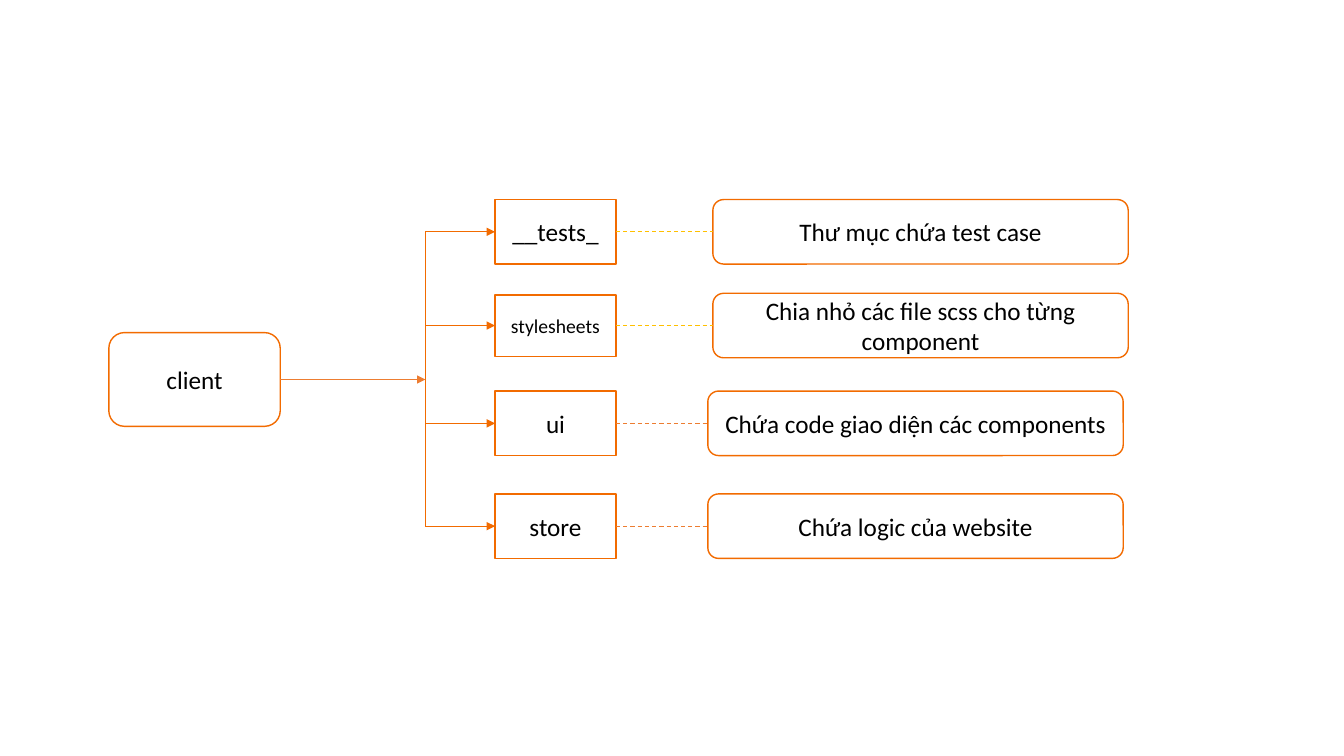
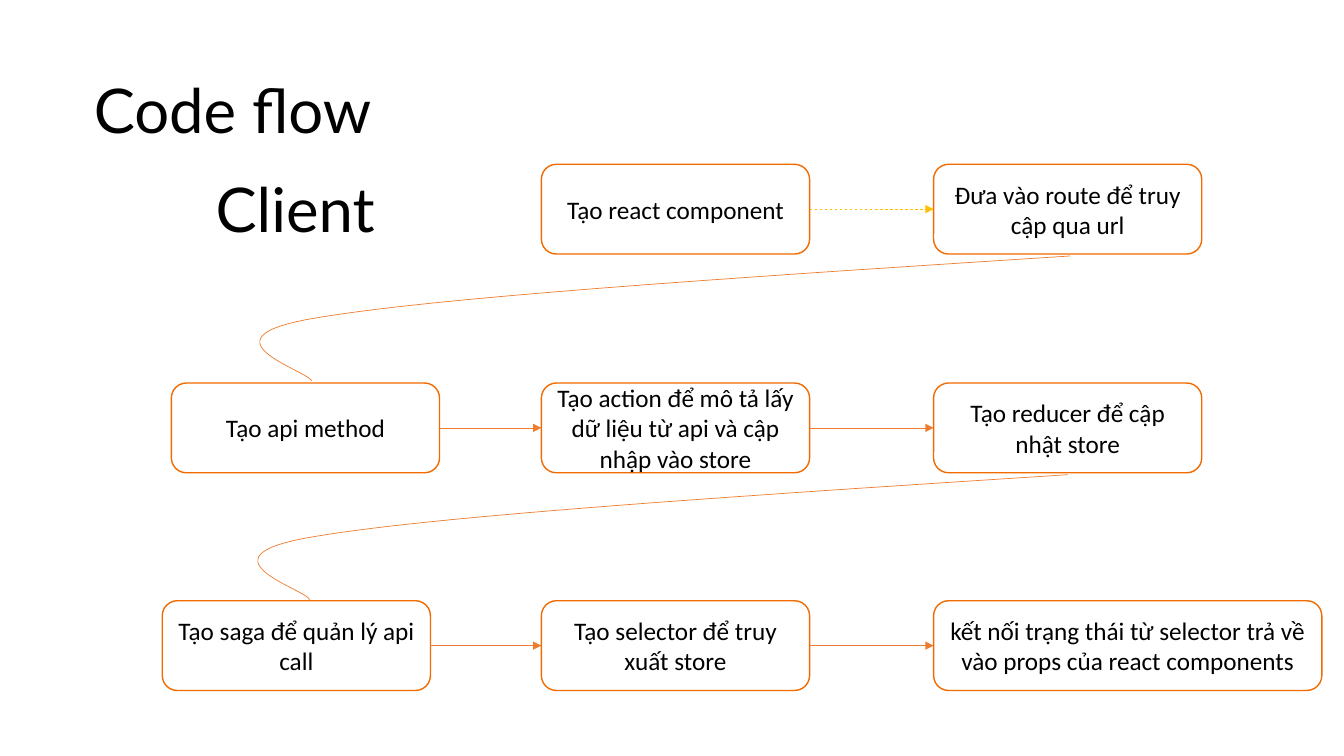
import pptx
import pptx.dml.color
import pptx.enum.dml
import pptx.enum.shapes
import pptx.enum.text
import pptx.oxml.ns
import pptx.util
from lxml import etree

Inches = pptx.util.Inches
Pt = pptx.util.Pt
SHAPE = pptx.enum.shapes.MSO_SHAPE
ALIGN = pptx.enum.text.PP_ALIGN
ANCHOR = pptx.enum.text.MSO_ANCHOR
qn = pptx.oxml.ns.qn

COLORS = {"outline": "F26B00", "arrow": "ED7D31", "accent": "FFC000", "text": "000000"}
LABEL = {"name": "Calibri", "size": Pt(18)}
SMALL_LABEL = {**LABEL, "size": Pt(14)}
HEADING = {"name": "Lato", "size": Pt(44)}

# Folder name, label format, box height, row centre, description, its left, dash colour
FOLDERS = [
    ("__tests_", LABEL, 0.64, 2.3, "Thư mục chứa test case", 7.07, "accent"),
    ("stylesheets", SMALL_LABEL, 0.61, 3.23, "Chia nhỏ các file scss cho từng component", 7.07, "accent"),
    ("ui", LABEL, 0.64, 4.2, "Chứa code giao diện các components", 7.02, "arrow"),
    ("store", LABEL, 0.64, 5.22, "Chứa logic của website", 7.02, "arrow"),
]
TRUNK_X = 4.22

# Top of each row, link colour, dashed or not, and its steps: text, left, width
STEP_ROWS = [
    (1.63, "accent", True, [
        ("Tạo react component", 5.37, 2.66),
        ("Đưa vào route để truy cập qua url", 9.26, 2.66),
    ]),
    (3.8, "arrow", False, [
        ("Tạo api method", 1.7, 2.66),
        ("Tạo action để mô tả lấy dữ liệu từ api và cập nhập vào store", 5.37, 2.66),
        ("Tạo reducer để cập nhật store", 9.26, 2.66),
    ]),
    (5.96, "arrow", False, [
        ("Tạo saga để quản lý api call", 1.61, 2.66),
        ("Tạo selector để truy xuất store", 5.37, 2.66),
        ("kết nối trạng thái từ selector trả về vào props của react components", 9.26, 3.85),
    ]),
]
RETURN_STARTS = [(10.61, 2.54), (10.59, 4.71)]
# Two cubic segments, measured from the start of the curve
RETURN_CURVE = [
    [(0, 0), (-3.1, 0.2), (-6.2, 0.4), (-7.45, 0.61)],
    [(-7.45, 0.61), (-8.71, 0.81), (-7.54, 1.14), (-7.52, 1.24)],
]
CURVE_STEPS = 30


def rgb(color):
    return pptx.dml.color.RGBColor.from_string(COLORS[color])


def write(tf, text, style, align):
    p = tf.paragraphs[0]
    p.alignment = align
    r = p.add_run()
    r.text = text
    for key, value in style.items():
        setattr(r.font, key, value)
    r.font.color.rgb = rgb("text")
    return p


def stroke(line, color, width):
    line.color.rgb = rgb(color)
    line.width = Pt(width)


def add_box(slide, kind, text, left, top, width, height, style=LABEL):
    sp = slide.shapes.add_shape(kind, *map(Inches, (left, top, width, height)))
    sp.shadow.inherit = False
    sp.fill.background()
    stroke(sp.line, "outline", 1)
    tf = sp.text_frame
    tf.word_wrap = True
    tf.vertical_anchor = ANCHOR.MIDDLE
    write(tf, text, style, ALIGN.CENTER)
    return sp


def add_line(slide, start, end, color, width=0.5, arrow=False, dashed=False):
    """Draw a straight line between two (x, y) points given as lengths."""
    line = slide.shapes.add_connector(
        pptx.enum.shapes.MSO_CONNECTOR.STRAIGHT, *start, *end)
    stroke(line.line, color, width)
    if dashed:
        line.line.dash_style = pptx.enum.dml.MSO_LINE.DASH
    if arrow:
        etree.SubElement(line.line._get_or_add_ln(), qn("a:tailEnd"), type="triangle")
    etree.SubElement(line._element.spPr, qn("a:effectLst"))
    return line


def left_middle(sp):
    return sp.left, sp.top + sp.height // 2


def right_middle(sp):
    return sp.left + sp.width, sp.top + sp.height // 2


def link_boxes(slide, source, target, color, **options):
    """Connect the right side of one box to the left side of the next."""
    line = add_line(slide, right_middle(source), left_middle(target), color, **options)
    line.begin_connect(source, 3)
    line.end_connect(target, 1)


def bezier(points, t):
    weights = ((1 - t) ** 3, 3 * t * (1 - t) ** 2, 3 * t ** 2 * (1 - t), t ** 3)
    return tuple(sum(w * p[axis] for w, p in zip(weights, points)) for axis in (0, 1))


def add_return_curve(slide, x, y):
    """Draw the curve that leads from the end of a row to the next row."""
    builder = slide.shapes.build_freeform(Inches(x), Inches(y))
    points = [bezier(segment, i / CURVE_STEPS)
              for segment in RETURN_CURVE for i in range(1, CURVE_STEPS + 1)]
    builder.add_line_segments(
        [(Inches(x + dx), Inches(y + dy)) for dx, dy in points], close=False)
    sp = builder.convert_to_shape()
    sp.shadow.inherit = False
    sp.fill.background()
    stroke(sp.line, "arrow", 0.5)


def add_title(slide, text, left, top, width, height):
    title = slide.shapes.title
    frame = {"left": left, "top": top, "width": width, "height": height}
    for key, value in frame.items():
        setattr(title, key, Inches(value))
    tf = title.text_frame
    tf.auto_size = pptx.enum.text.MSO_AUTO_SIZE.NONE
    tf.vertical_anchor = ANCHOR.MIDDLE
    write(tf, text, HEADING, ALIGN.LEFT).line_spacing = 0.9


def add_subtitle(slide, text, left, top, width, height):
    sp = slide.shapes.add_textbox(*map(Inches, (left, top, width, height)))
    sp.text_frame.word_wrap = False
    write(sp.text_frame, text, HEADING, ALIGN.LEFT)


def add_folder_slide(prs):
    slide = prs.slides.add_slide(prs.slide_layouts[6])
    client = add_box(slide, SHAPE.ROUNDED_RECTANGLE, "client", 1.08, 3.3, 1.7, 0.93)
    trunk_x = Inches(TRUNK_X)
    start = right_middle(client)
    add_line(slide, start, (trunk_x, start[1]), "arrow", arrow=True).begin_connect(client, 3)
    add_line(slide, (trunk_x, Inches(FOLDERS[0][3])),
             (trunk_x, Inches(FOLDERS[-1][3])), "outline")
    for name, style, height, middle, description, left, color in FOLDERS:
        folder = add_box(slide, SHAPE.RECTANGLE, name,
                         4.91, middle - height / 2, 1.2, height, style)
        note = add_box(slide, SHAPE.ROUNDED_RECTANGLE, description,
                       left, middle - 0.32, 4.12, 0.64)
        end = left_middle(folder)
        branch = add_line(slide, (trunk_x, end[1]), end, "outline", arrow=True)
        branch.end_connect(folder, 1)
        link_boxes(slide, folder, note, color, width=0.75, dashed=True)


def add_flow_slide(prs):
    slide = prs.slides.add_slide(prs.slide_layouts[5])
    add_title(slide, "Code flow", 0.83, 0.4, 3.46, 1.45)
    add_subtitle(slide, "Client", 2.04, 1.65, 1.8, 0.84)
    for top, color, dashed, steps in STEP_ROWS:
        boxes = [add_box(slide, SHAPE.ROUNDED_RECTANGLE, text, left, top, width, 0.89)
                 for text, left, width in steps]
        for source, target in zip(boxes, boxes[1:]):
            link_boxes(slide, source, target, color, arrow=True, dashed=dashed)
    for x, y in RETURN_STARTS:
        add_return_curve(slide, x, y)


def main():
    prs = pptx.Presentation()
    prs.slide_width = Inches(13.33)
    prs.slide_height = Inches(7.5)
    add_folder_slide(prs)
    add_flow_slide(prs)
    prs.save("out.pptx")


if __name__ == "__main__":
    main()
